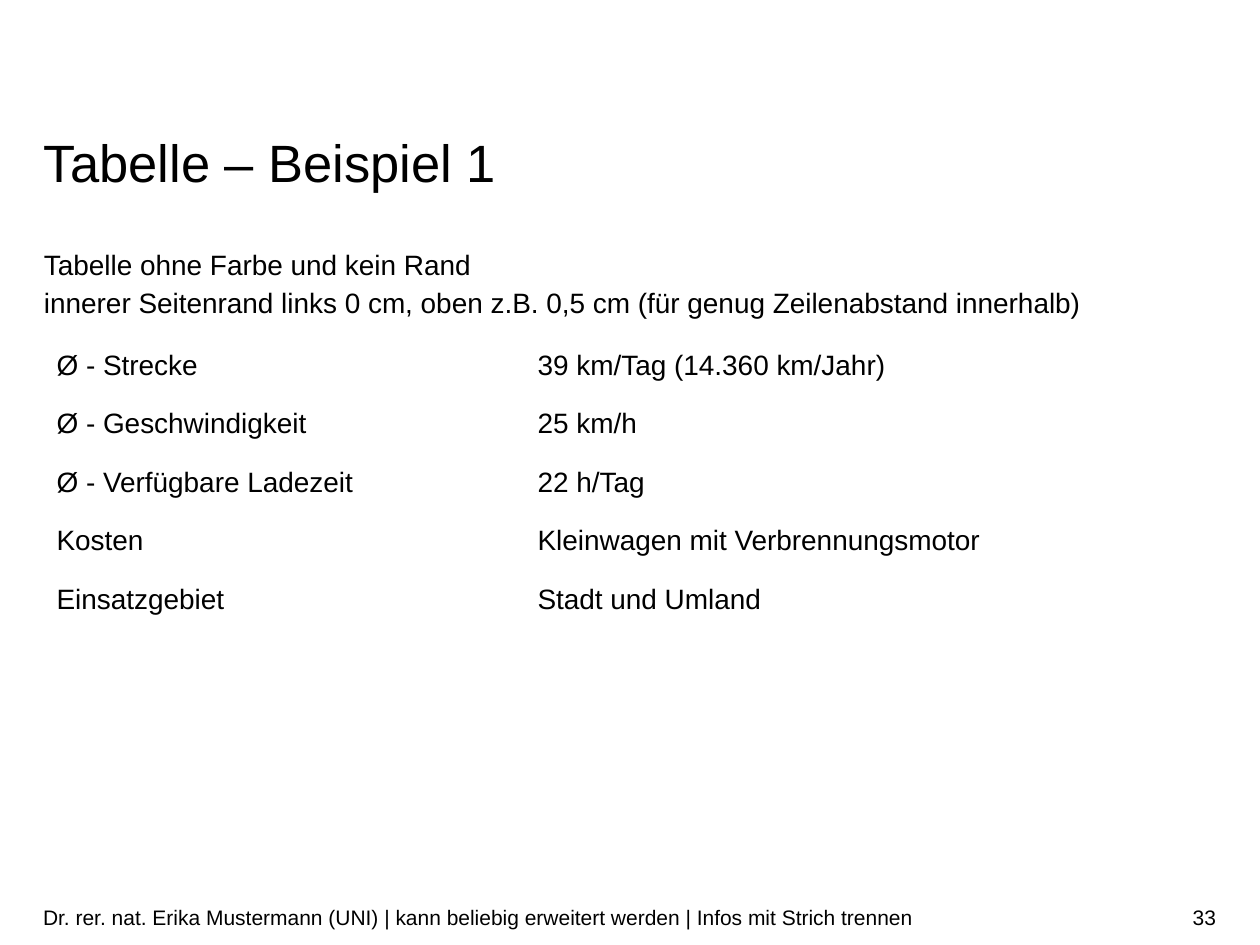
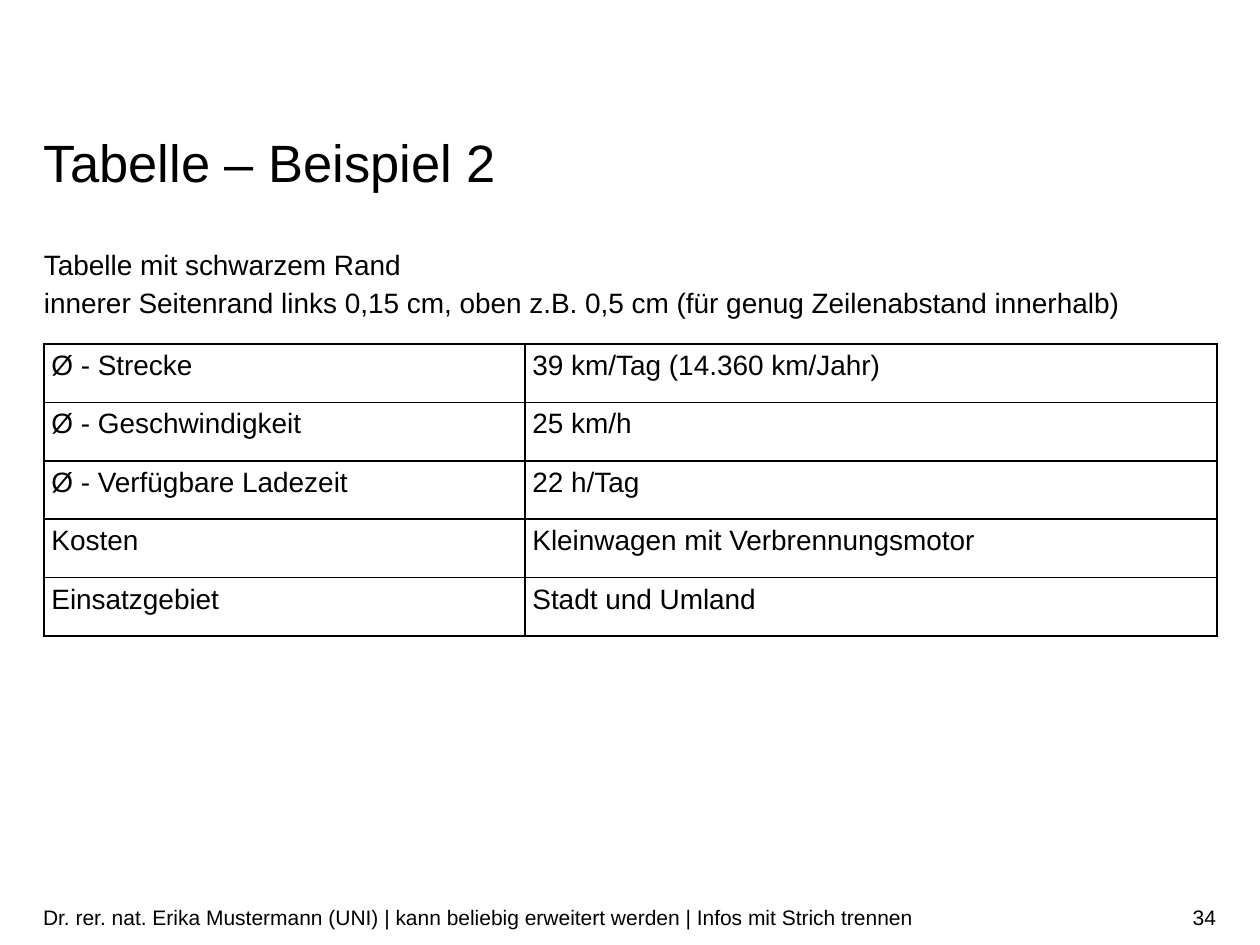
"""Build two slides that show one table without and with a black border."""
import copy
import dataclasses

import lxml.etree
import pptx
import pptx.dml.color
import pptx.enum.shapes
import pptx.enum.text
import pptx.oxml.ns
import pptx.util

ALIGN = pptx.enum.text.PP_ALIGN
ANCHOR = pptx.enum.text.MSO_ANCHOR
qn = pptx.oxml.ns.qn


@dataclasses.dataclass(frozen=True)
class Theme:
    font: str = "Arial"
    ink: str = "000000"
    paper: str = "FFFFFF"
    title_size: int = 30
    title_leading: int = 32
    body_size: int = 16
    body_leading: float = 1.14
    footer_size: int = 12
    border_width: float = 0.96


THEME = Theme()
PX_PER_INCH = 126
LEFT, WIDTH = 44, 1173
COLUMNS = (481, 692)
TABLE_TOP, TABLE_HEIGHT = 344, 292
FOOTER_LEFT, FOOTER_TOP, FOOTER_HEIGHT = 43, 892, 50
FOOTER_WIDTH, NUMBER_WIDTH = 891, 282
FOOTER = ("Dr. rer. nat. Erika Mustermann (UNI) | kann beliebig erweitert werden"
          " | Infos mit Strich trennen")
ROWS = (
    ("Ø - Strecke", "39 km/Tag (14.360 km/Jahr)"),
    ("Ø - Geschwindigkeit", "25 km/h"),
    ("Ø - Verfügbare Ladezeit", "22 h/Tag"),
    ("Kosten", "Kleinwagen mit Verbrennungsmotor"),
    ("Einsatzgebiet", "Stadt und Umland"),
)


def px(n):
    return pptx.util.Emu(round(n * 914400 / PX_PER_INCH))


def rgb(value):
    return pptx.dml.color.RGBColor.from_string(value)


def write(tf, text, size=THEME.body_size, align=ALIGN.LEFT, leading=None):
    p = tf.paragraphs[0]
    p.text = text
    p.alignment = align
    if leading:
        p.line_spacing = leading
    for r in p.runs:
        r.font.name = THEME.font
        r.font.size = pptx.util.Pt(size)
        r.font.color.rgb = rgb(THEME.ink)
    for br in p._p.findall(qn("a:br")):
        br.append(copy.deepcopy(p.runs[0]._r.rPr))


def set_frame(tf, anchor=ANCHOR.TOP, inset=0):
    tf.word_wrap = True
    tf.vertical_anchor = anchor
    tf.margin_left = tf.margin_right = 0
    tf.margin_top = tf.margin_bottom = px(inset)


def add_title(s, text):
    sp = s.shapes.add_textbox(px(LEFT), px(137), px(WIDTH), px(57))
    set_frame(sp.text_frame)
    write(sp.text_frame, text, size=THEME.title_size,
          leading=pptx.util.Pt(THEME.title_leading))


def add_panel(s, left, top, width, height, text, anchor=ANCHOR.TOP, inset=0, **fmt):
    sp = s.shapes.add_shape(pptx.enum.shapes.MSO_SHAPE.RECTANGLE,
                            px(left), px(top), px(width), px(height))
    sp.shadow.inherit = False
    sp.fill.solid()
    sp.fill.fore_color.rgb = rgb(THEME.paper)
    sp.line.fill.background()
    set_frame(sp.text_frame, anchor, inset)
    write(sp.text_frame, text, **fmt)


def add_footer(s, number):
    fmt = dict(anchor=ANCHOR.MIDDLE, inset=6, size=THEME.footer_size)
    add_panel(s, FOOTER_LEFT + FOOTER_WIDTH, FOOTER_TOP, NUMBER_WIDTH, FOOTER_HEIGHT,
              str(number), align=ALIGN.RIGHT, **fmt)
    add_panel(s, FOOTER_LEFT, FOOTER_TOP, FOOTER_WIDTH, FOOTER_HEIGHT, FOOTER, **fmt)


def set_borders(cell, bordered):
    tc_pr = cell._tc.get_or_add_tcPr()
    for i, side in enumerate("LRTB"):
        ln = lxml.etree.Element(qn(f"a:ln{side}"))
        if bordered:
            ln.set("w", str(pptx.util.Pt(THEME.border_width)))
            fill = lxml.etree.SubElement(ln, qn("a:solidFill"))
            lxml.etree.SubElement(fill, qn("a:srgbClr"), val=THEME.ink)
        else:
            lxml.etree.SubElement(ln, qn("a:noFill"))
        tc_pr.insert(i, ln)


def add_table(s, bordered):
    table = s.shapes.add_table(len(ROWS), len(COLUMNS), px(LEFT), px(TABLE_TOP),
                               px(WIDTH), px(TABLE_HEIGHT)).table
    table.first_row = table.horz_banding = False
    for column, width in zip(table.columns, COLUMNS):
        column.width = px(width)
    for row, texts in zip(table.rows, ROWS):
        row.height = px(TABLE_HEIGHT / len(ROWS))
        for cell, text in zip(row.cells, texts):
            cell.fill.background()
            if bordered:
                cell.margin_left = pptx.util.Cm(0.15)
            set_borders(cell, bordered)
            write(cell.text_frame, text)


def add_slide(prs, number, title, intro, bordered):
    s = prs.slides.add_slide(prs.slide_layouts[6])
    add_table(s, bordered)
    add_footer(s, number)
    add_panel(s, LEFT, 243, WIDTH, 98, intro, leading=THEME.body_leading)
    add_title(s, title)


def main():
    prs = pptx.Presentation()
    prs.slide_width, prs.slide_height = px(1260), px(945)
    hint = "innerer Seitenrand links {} cm, oben z.B. 0,5 cm (für genug Zeilenabstand innerhalb)"
    add_slide(prs, 33, "Tabelle – Beispiel 1",
              "Tabelle ohne Farbe und kein Rand\v" + hint.format("0"), bordered=False)
    add_slide(prs, 34, "Tabelle – Beispiel 2",
              "Tabelle mit schwarzem Rand\v" + hint.format("0,15"), bordered=True)
    prs.save("out.pptx")


main()
